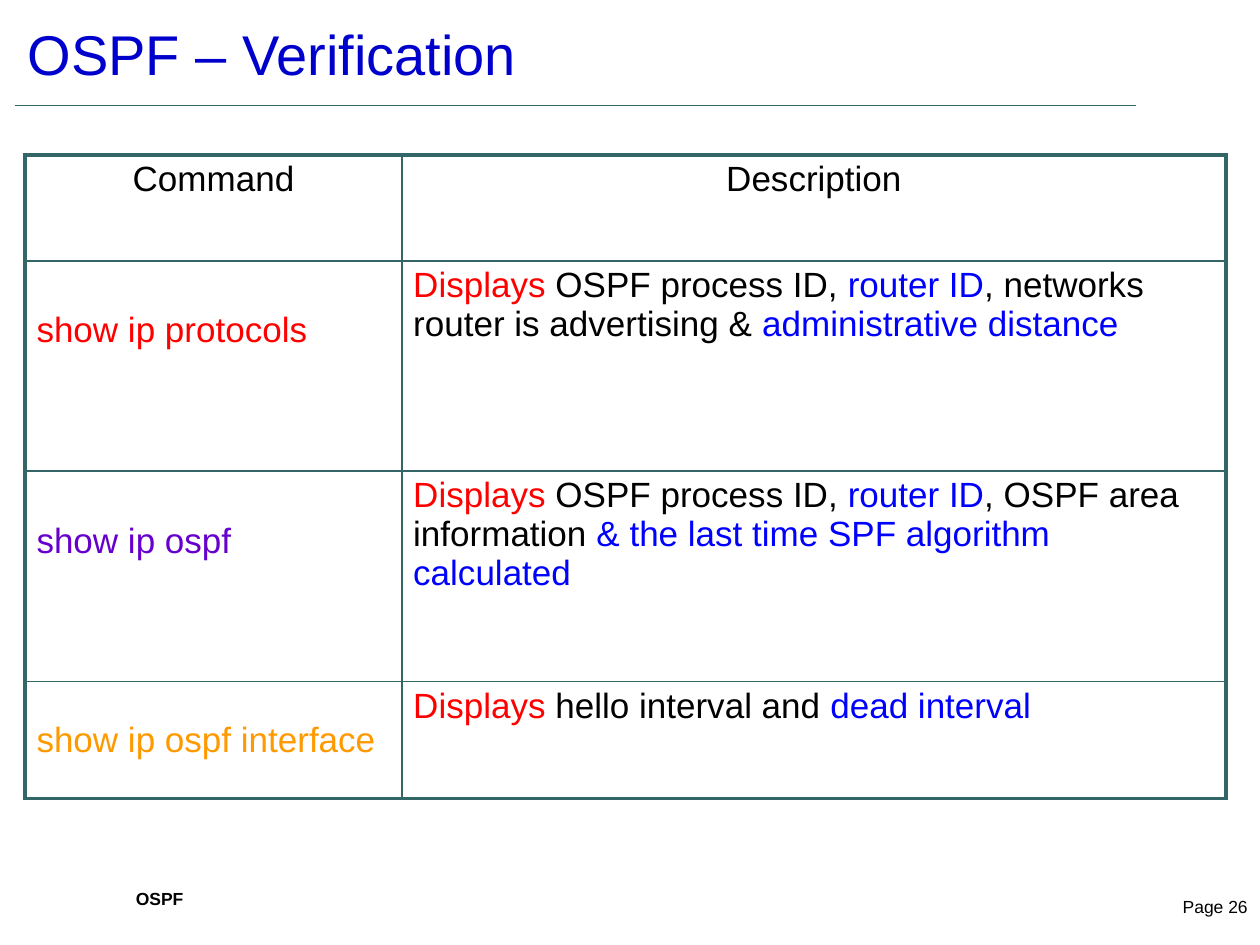
"""Build the OSPF verification slide: title, rule, command table and footer."""
from lxml import etree
from pptx import Presentation, util as u
from pptx.dml.color import RGBColor
from pptx.enum import shapes, text
from pptx.oxml.ns import qn

COLORS = {"black": "000000", "title": "0000CC", "rule": "336666", "red": "FF0000",
          "blue": "0000FF", "purple": "6600CC", "orange": "FF9900", "white": "FFFFFF"}
GRID = u.Inches(0.1)
LEFT, CENTER, RIGHT = text.PP_ALIGN.LEFT, text.PP_ALIGN.CENTER, text.PP_ALIGN.RIGHT
TOP, MIDDLE = text.MSO_ANCHOR.TOP, text.MSO_ANCHOR.MIDDLE


def span(*counts):
    return [round(count * GRID) for count in counts]


def write(frame, runs, size, align=LEFT, bold=False):
    paragraph = frame.paragraphs[0]
    paragraph.alignment = align
    for words, color in runs:
        run = paragraph.add_run()
        run.text = words
        run.font.name, run.font.size, run.font.bold = "Arial", u.Pt(size), bold
        run.font.color.rgb = RGBColor.from_string(COLORS[color])


deck = Presentation()
deck.slide_width, deck.slide_height = span(100, 75)
slide = deck.slides.add_slide(deck.slide_layouts[6])

rule = slide.shapes.add_connector(shapes.MSO_CONNECTOR.STRAIGHT, *span(1.2, 8.4, 90.2, 8.4))
rule.line.color.rgb = RGBColor.from_string(COLORS["rule"])
rule.line.width = u.Pt(0.75)
etree.SubElement(rule.line._get_or_add_ln().getparent(), qn("a:effectLst"))

labels = [
    ((9.8, 70, 29.1, 5), "OSPF", "black", 10, LEFT, True, TOP),
    ((1.2, 1.3, 89.1, 5.8), "OSPF – Verification", "title", 32, LEFT, False, MIDDLE),
    ((92.1, 70.6, 7.9, 3.1), "Page 26", "black", 10, RIGHT, False, TOP),
]
for place, words, color, size, align, bold, anchor in labels:
    label = slide.shapes.add_textbox(*span(*place)).text_frame
    label.word_wrap = True
    label.vertical_anchor = anchor
    write(label, [(words, color)], size, align, bold)

commands = [
    ([("Command", "black")], [("Description", "black")]),
    ([("show ip protocols", "red")],
     [("Displays", "red"), (" OSPF process ID, ", "black"), ("router ID", "blue"),
      (", networks router is advertising & ", "black"), ("administrative distance", "blue")]),
    ([("show ip ospf", "purple")],
     [("Displays ", "red"), ("OSPF process ID, ", "black"), ("router ID", "blue"),
      (", OSPF area information ", "black"),
      ("& the last time SPF algorithm calculated", "blue")]),
    ([("show ip ospf interface", "orange")],
     [("Displays", "red"), (" hello interval and ", "black"), ("dead interval", "blue")]),
]
widths, heights = span(29.9, 65.4), span(8.4, 16.7, 16.7, 9.3)
last_row, last_column = len(heights) - 1, len(widths) - 1
table = slide.shapes.add_table(len(heights), len(widths), *span(2, 12.3),
                               sum(widths), sum(heights)).table
table.first_row = table.horz_banding = False
for column, width in zip(table.columns, widths):
    column.width = width

for r, (height, entries) in enumerate(zip(heights, commands)):
    table.rows[r].height = height
    for c, runs in enumerate(entries):
        cell = table.cell(r, c)
        is_command = c == 0 and r > 0
        cell.margin_left = cell.margin_right = u.Inches(0.09)
        cell.margin_top = u.Inches(0.4 if is_command and r < last_row else 0.04)
        cell.margin_bottom = u.Inches(0.04)
        cell.vertical_anchor = MIDDLE if is_command and r == last_row else TOP
        write(cell.text_frame, runs, 20, CENTER if r == 0 else LEFT)
        outer_edges = {"a:lnL": c == 0, "a:lnR": c == last_column,
                       "a:lnT": r == 0, "a:lnB": r == last_row}
        properties = cell._tc.get_or_add_tcPr()
        for edge, is_outer in outer_edges.items():
            border = etree.SubElement(properties, qn(edge), w=str(u.Pt(2.25 if is_outer else 1)))
            paint = etree.SubElement(border, qn("a:solidFill"))
            etree.SubElement(paint, qn("a:srgbClr"), val=COLORS["rule"])
        cell.fill.solid()
        cell.fill.fore_color.rgb = RGBColor.from_string(COLORS["white"])

deck.save("out.pptx")
